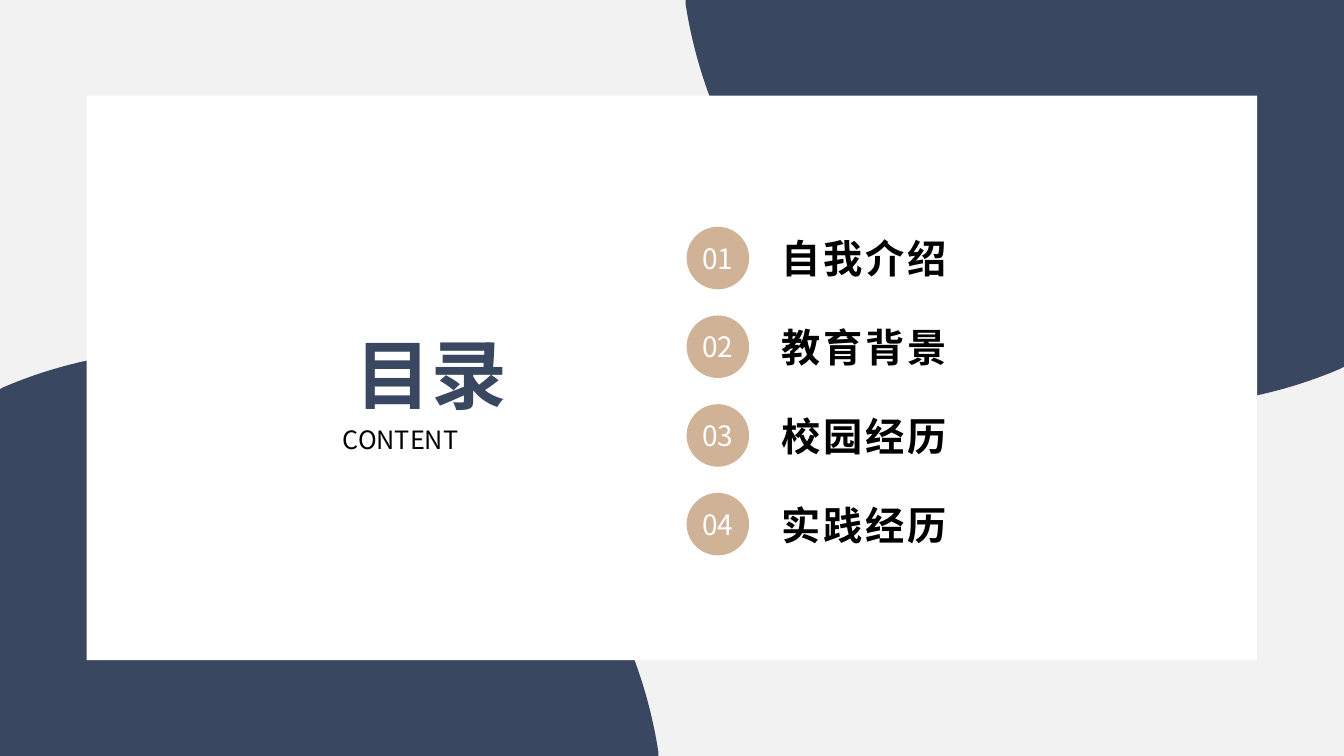
from dataclasses import dataclass

from lxml import etree
from pptx import Presentation
from pptx.dml.color import RGBColor
from pptx.enum.shapes import MSO_SHAPE
from pptx.enum.text import MSO_ANCHOR, MSO_AUTO_SIZE, PP_ALIGN
from pptx.oxml.ns import qn
from pptx.util import Inches, Pt

RECTANGLE, OVAL = MSO_SHAPE.RECTANGLE, MSO_SHAPE.OVAL
TOP, MIDDLE = MSO_ANCHOR.TOP, MSO_ANCHOR.MIDDLE
LEFT, CENTER, JUSTIFY = PP_ALIGN.LEFT, PP_ALIGN.CENTER, PP_ALIGN.JUSTIFY
FIT_SHAPE, NO_FIT = MSO_AUTO_SIZE.SHAPE_TO_FIT_TEXT, MSO_AUTO_SIZE.NONE

COLORS = {
    "backdrop": "F2F2F2",
    "navy": "394761",
    "card": "FFFFFF",
    "badge": "D0B296",
    "number": "FFFFFF",
    "text": "000000",
}
FONT = "Noto Sans CJK SC"
SLIDE_W, SLIDE_H = 13.33, 7.5
FIRST_ENTRY_TOP, ENTRY_PITCH = 2.25, 0.88

Point = tuple[float, float]


@dataclass
class Entry:
    number: str
    topic: str


ENTRIES = [
    Entry("01", "自我介绍"),
    Entry("02", "教育背景"),
    Entry("03", "校园经历"),
    Entry("04", "实践经历"),
]

# Upper right corner: straight edges, two Bezier triples, one straight edge
CORNER_START: list[Point] = [(SLIDE_W, 0), (6.8, 0), (6.8, 0.04)]
CORNER_CURVES: list[Point] = [
    (7.15, 2.3), (9.1, 4.03), (11.46, 4.03),
    (12.11, 4.03), (12.73, 3.9), (13.29, 3.66),
]
CORNER_END: list[Point] = [(SLIDE_W, 3.64)]


def paint(shape, color: str) -> None:
    shape.shadow.inherit = False
    shape.fill.solid()
    shape.fill.fore_color.rgb = RGBColor.from_string(COLORS[color])
    shape.line.fill.background()


def place(shape, left: float, top: float, width: float, height: float) -> None:
    shape.left, shape.top = Inches(left), Inches(top)
    shape.width, shape.height = Inches(width), Inches(height)


def add_solid(slide, kind, left: float, top: float, width: float,
              height: float, color: str) -> None:
    box = [Inches(v) for v in (left, top, width, height)]
    paint(slide.shapes.add_shape(kind, *box), color)


def write(frame, text: str, *, size: float, color: str, bold: bool = False,
          align=LEFT, anchor=TOP, fit=FIT_SHAPE, wrap: bool = True,
          inset: bool = False, spacing: float = 0) -> None:
    """Fill a text frame with one formatted paragraph."""
    if not inset:
        frame.margin_left = frame.margin_right = 0
        frame.margin_top = frame.margin_bottom = 0
    frame.word_wrap, frame.auto_size = wrap, fit
    frame.vertical_anchor = anchor
    paragraph = frame.paragraphs[0]
    paragraph.alignment = align
    run = paragraph.add_run()
    run.text = text
    font = run.font
    font.name, font.size, font.bold = FONT, Pt(size), bold
    font.color.rgb = RGBColor.from_string(COLORS[color])
    properties = run._r.get_or_add_rPr()
    east_asian = etree.Element(qn("a:ea"), typeface=FONT)
    properties.find(qn("a:latin")).addnext(east_asian)
    if spacing:
        properties.set("spc", str(round(spacing * 100)))


def add_label(slide, left: float, top: float, width: float, height: float,
              text: str, **text_format) -> None:
    box = [Inches(v) for v in (left, top, width, height)]
    write(slide.shapes.add_textbox(*box).text_frame, text, **text_format)


def bend(shape, first: int, count: int) -> None:
    """Turn a run of line segments into cubic curves, three points each."""
    segments = list(shape.element.iter(qn("a:lnTo")))[first:first + count]
    for i in range(0, count, 3):
        curve = etree.Element(qn("a:cubicBezTo"))
        segments[i].addprevious(curve)
        for segment in segments[i:i + 3]:
            curve.append(segment[0])
            segment.getparent().remove(segment)


def add_corner(slide, outline: list[Point]) -> None:
    points = [(Inches(x), Inches(y)) for x, y in outline]
    builder = slide.shapes.build_freeform(*points[0], scale=1.0)
    builder.add_line_segments(points[1:], close=True)
    corner = builder.convert_to_shape()
    bend(corner, len(CORNER_START) - 1, len(CORNER_CURVES))
    paint(corner, "navy")


def add_entry(slide, entry: Entry, top: float) -> None:
    add_solid(slide, OVAL, 6.81, top, 0.62, 0.62, "badge")
    add_label(slide, 7.65, top + 0.03, 3.79, 0.57, entry.topic,
              size=28, color="text", bold=True, inset=True, spacing=2)
    add_label(slide, 6.77, top + 0.05, 0.7, 0.52, entry.number, size=20,
              color="number", align=CENTER, anchor=MIDDLE, fit=NO_FIT)


def add_heading(slide) -> None:
    title = slide.shapes.title
    slide.shapes.element.append(title.element)  # bring in front of the card
    place(title, 3.52, 3.25, 1.51, 0.91)
    write(title.text_frame, "目录", size=54, color="navy", bold=True,
          align=CENTER, wrap=False)
    add_label(slide, 3.4, 4.21, 1.75, 0.3, "CONTENT",
              size=18, color="text", align=JUSTIFY)


def main() -> None:
    prs = Presentation()
    prs.slide_width, prs.slide_height = Inches(SLIDE_W), Inches(SLIDE_H)
    slide = prs.slides.add_slide(prs.slide_layouts.get_by_name("Title Only"))
    backdrop = slide.background.fill
    backdrop.solid()
    backdrop.fore_color.rgb = RGBColor.from_string(COLORS["backdrop"])

    upper_right = CORNER_START + CORNER_CURVES + CORNER_END
    add_corner(slide, upper_right)
    add_corner(slide, [(SLIDE_W - x, SLIDE_H - y) for x, y in upper_right])
    add_solid(slide, RECTANGLE, 0.86, 0.95, 11.61, 5.6, "card")
    for index, entry in enumerate(ENTRIES):
        add_entry(slide, entry, FIRST_ENTRY_TOP + index * ENTRY_PITCH)
    add_heading(slide)
    prs.save("out.pptx")


if __name__ == "__main__":
    main()
